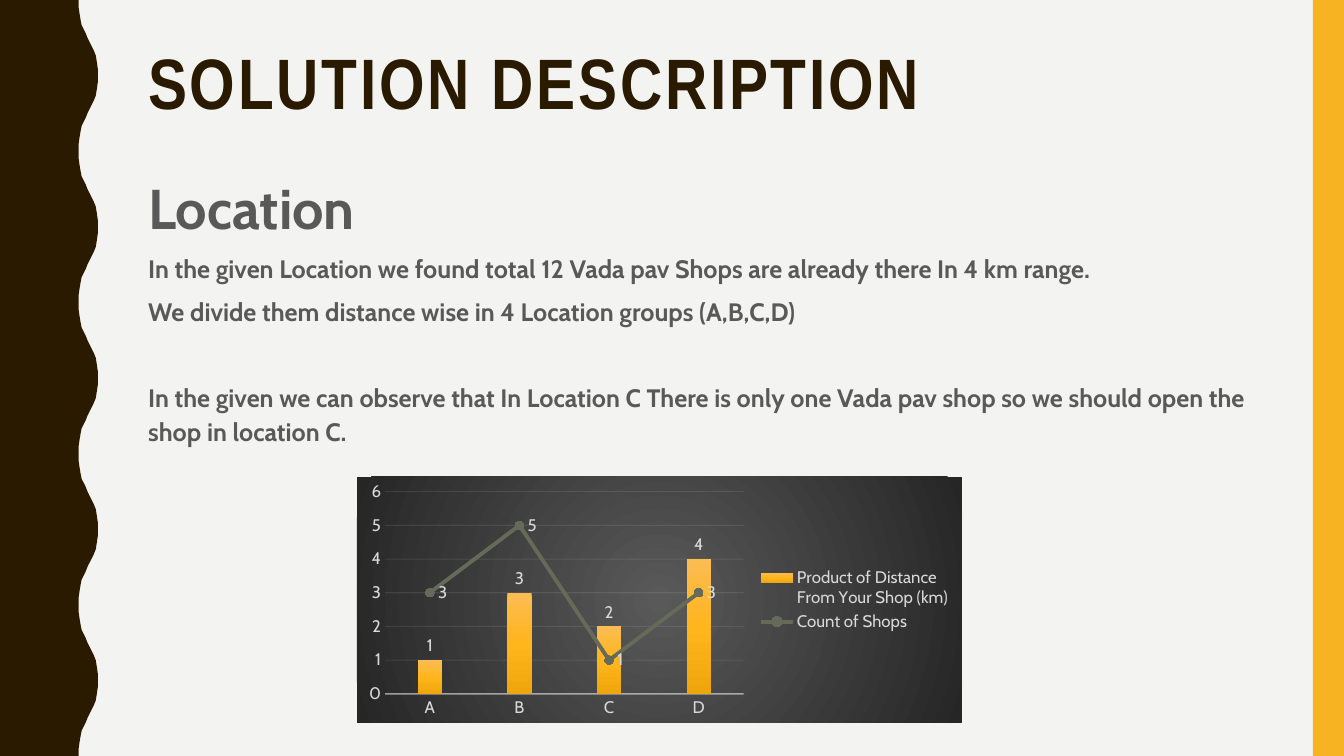
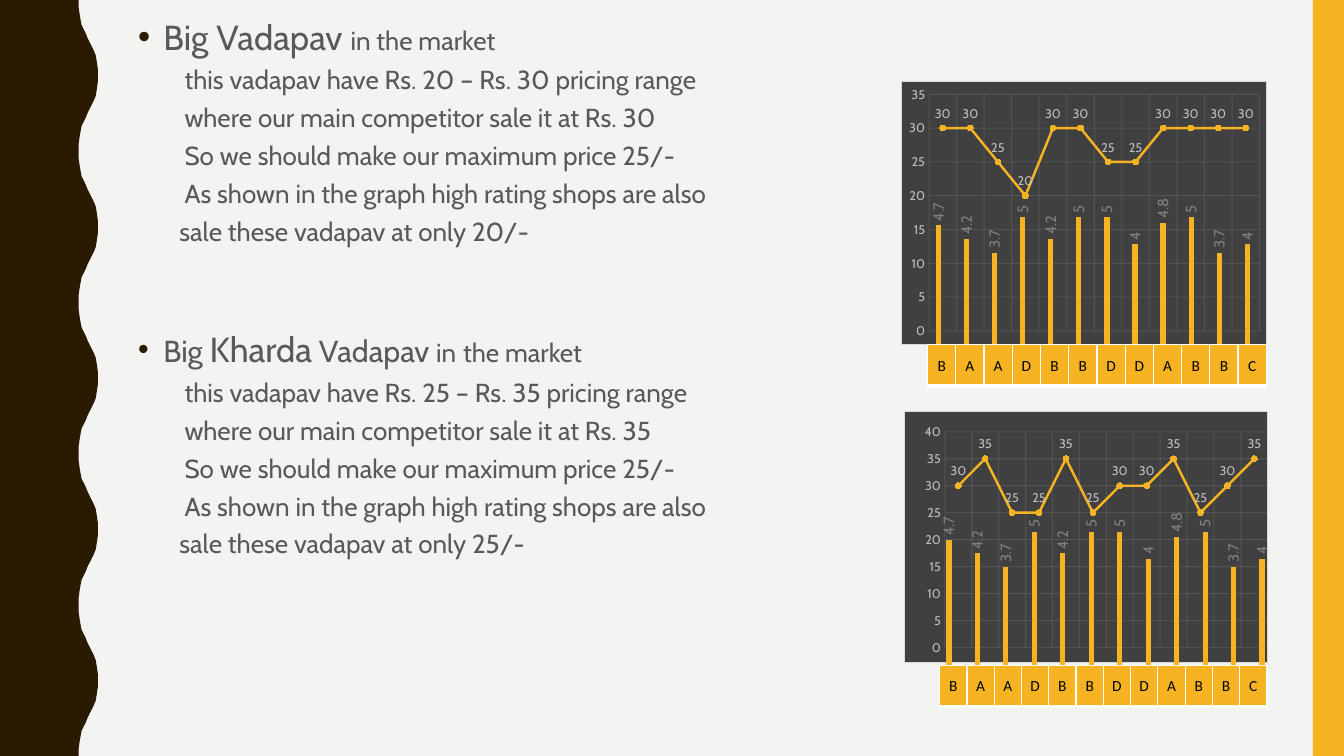
from copy import deepcopy

from pptx import Presentation, oxml
from pptx import util as u
from pptx.chart import data as cd
from pptx.dml.color import RGBColor as RGB
from pptx.enum import chart as ce, shapes, text
from pptx.oxml import ns


class Theme:
    page = RGB.from_string("F3F3F2")
    dark = RGB.from_string("2A1A00")
    gold = RGB.from_string("F8B323")
    gray = RGB.from_string("595959")
    olive = RGB.from_string("656A59")
    pale = RGB.from_string("D9D9D9")
    mist = RGB.from_string("BFBFBF")
    dim = RGB.from_string("808080")
    snow = RGB.from_string("F2F2F2")
    black = RGB.from_string("000000")
    head, body, cell = "Arial Narrow", "Cabin", "Calibri"
    title, big, lead = 51, 40, 18
    large, mid, small = 24.8, 21.7, 18.6
    key, tick, rate, grid = 12, 9, 10.6, 11


NS = ns.nsdecls("a", "c")
SOLID = '<a:solidFill><a:srgbClr val="%s"/></a:solidFill>'
STOP = '<a:gs pos="%d"><a:srgbClr val="%s"/></a:gs>'
GRAD = f'<a:gradFill {NS} rotWithShape="1"><a:gsLst>%s</a:gsLst>%s</a:gradFill>'
ROUND = ('<a:path path="circle"><a:fillToRect l="50000" t="50000" '
         'r="50000" b="50000"/></a:path>')
GLOW = GRAD % (STOP % (0, "595959") + STOP % (100000, "262626"), ROUND) + "<a:ln><a:noFill/></a:ln>"
PANEL = SOLID % "404040" + '<a:ln w="9525">' + SOLID % "D9D9D9" + "</a:ln>"
CLEAR = "<a:noFill/><a:ln><a:noFill/></a:ln>"


def say(frame, runs, gap=7, lead=1.1, left=0, dot=False, bold=None):
    para = frame.add_paragraph() if frame.text else frame.paragraphs[0]
    para.line_spacing, para.space_before = lead, u.Pt(gap)
    props = para._p.get_or_add_pPr()
    props.set("marL", str(u.Inches(left)))
    props.set("indent", str(u.Inches(-left if dot else 0)))
    bullet = f'<a:buClr {NS}><a:srgbClr val="{Theme.dark}"/></a:buClr>'
    props.append(oxml.parse_xml(bullet if dot else f"<a:buNone {NS}/>"))
    para.font.name, para.font.bold = Theme.body, bold
    para.font.color.rgb = Theme.gray
    for words, size in runs:
        run = para.add_run()
        run.text, run.font.size = words, u.Pt(size)


def draw(slide, kind, box, cats, rows, back, size, tone, top, step):
    data = cd.CategoryChartData()
    data.categories = cats
    for name, vals in rows:
        data.add_series(name, vals)
    chart = slide.shapes.add_chart(kind, *map(u.Inches, box), data).chart
    chart.has_title = chart.has_legend = False
    chart.font.name, chart.font.size = Theme.body, u.Pt(size)
    chart.font.color.rgb = tone
    chart.element.find(ns.qn("c:chart")).addnext(
        oxml.parse_xml(f"<c:spPr {NS}>{back}</c:spPr>"))
    chart.plots[0].vary_by_categories = False
    axis = chart.value_axis
    axis.minimum_scale, axis.maximum_scale, axis.major_unit = 0, top, step
    axis.format.line.fill.background()
    chart.category_axis.has_major_gridlines = kind == ce.XL_CHART_TYPE.LINE_MARKERS
    for side in (axis, chart.category_axis):
        side.major_tick_mark = side.minor_tick_mark = ce.XL_TICK_MARK.NONE
        side.tick_labels.font.name = Theme.body
        side.tick_labels.font.size = u.Pt(size)
        side.tick_labels.font.color.rgb = tone
        if side.has_major_gridlines:
            rule = side.major_gridlines.format
            rule.line.width, rule.line.color.rgb = u.Pt(0.75), Theme.snow
            rule.element.xpath(".//a:srgbClr")[0].append(
                oxml.parse_xml(f'<a:alpha {NS} val="10000"/>'))
    for item in chart.series:
        tags = item.data_labels
        tags.show_value = True
        tags.font.name, tags.font.size = Theme.body, u.Pt(size)
        tags.font.color.rgb = tone
    return chart


deck = Presentation()
deck.slide_width, deck.slide_height = u.Inches(13.33), u.Inches(7.5)
first, second = [deck.slides.add_slide(deck.slide_layouts[1]) for _ in range(2)]

master = deck.slide_master
master.background.fill.solid()
master.background.fill.fore_color.rgb = Theme.page
half = [(0.78, 0), (0.78, 0.07), (0.79, 0.14), (0.8, 0.2), (0.81, 0.25),
        (0.83, 0.29), (0.85, 0.33), (0.87, 0.38), (0.89, 0.42), (0.91, 0.46),
        (0.93, 0.5), (0.95, 0.55), (0.96, 0.61), (0.97, 0.68)]
crest = half + [(0.97, 0.75)] + [(x, 1.5 - y) for x, y in reversed(half)]
edge = [(x, y + 1.5 * turn) for turn in range(5) for x, y in crest] + [(0, 7.5)]
pen = first.shapes.build_freeform(0, 0)
pen.add_line_segments([(u.Inches(x), u.Inches(y)) for x, y in edge], close=True)
wave = pen.convert_to_shape()
band = first.shapes.add_shape(shapes.MSO_SHAPE.RECTANGLE, u.Inches(13.02), 0,
                              u.Inches(0.31), u.Inches(7.5))
for spot, (shape, tone) in enumerate([(wave, Theme.dark), (band, Theme.gold)]):
    shape.shadow.inherit = False
    shape.fill.solid()
    shape.fill.fore_color.rgb = tone
    shape.line.fill.background()
    shape.element.xpath(".//p:cNvPr")[0].set("id", str(20 + spot))
    master.shapes.element.insert(2 + spot, shape.element)

second.shapes.title.element.getparent().remove(second.shapes.title.element)
for holder, box in [(first.shapes.title, (1.37, 0.42, 11.13, 1.63)),
                    (first.placeholders[1], (1.37, 1.6, 11.13, 3.93)),
                    (second.placeholders[1], (1.27, 0.15, 11.13, 7.21))]:
    holder.left, holder.top, holder.width, holder.height = map(u.Inches, box)
    holder.text_frame.auto_size = text.MSO_AUTO_SIZE.NONE
    holder.text_frame.vertical_anchor = text.MSO_ANCHOR.TOP

title = first.shapes.title
title.text_frame.text = "SOLUTION DESCRIPTION"
para = title.text_frame.paragraphs[0]
para.alignment, para.line_spacing = text.PP_ALIGN.LEFT, 0.9
para.font.name, para.font.size, para.font.bold = Theme.head, u.Pt(Theme.title), True
para.font.color.rgb = Theme.dark
title.element.xpath(".//a:defRPr")[0].set("spc", "200")

frame = first.placeholders[1].text_frame
for words, size, gap in [
    ("Location", Theme.big, 7),
    ("In the given Location we found total 12 Vada pav Shops are already there In 4 km range.", Theme.lead, 7),
    ("We divide them distance wise in 4 Location groups (A,B,C,D)", Theme.lead, 7),
    ("In the given we can observe that In Location C There is only one Vada pav shop so we should open the shop in location C.", Theme.lead, 38),
]:
    say(frame, [(words, size)], gap, bold=True)

combo = draw(first, ce.XL_CHART_TYPE.COLUMN_CLUSTERED, (3.54, 4.73, 6, 2.44), "ABCD",
             [("Product of Distance From Your Shop (km)", (1, 3, 2, 4)),
              ("Count of Shops", (3, 5, 1, 3))],
             GLOW, Theme.key, Theme.pale, 6, 1)
bars = combo.plots[0]
bars.gap_width, bars.overlap = 269, -27
node = bars.series[0].format
node.fill.solid()
flat = node.element.xpath("./c:spPr/a:solidFill")[0]
shine = STOP % (0, "FBBC54") + STOP % (50000, "FFB51C") + STOP % (100000, "EFA60C")
flat.getparent().replace(flat, oxml.parse_xml(GRAD % (shine, '<a:lin ang="5400000" scaled="0"/>')))
bars.series[0].data_labels.position = ce.XL_LABEL_POSITION.OUTSIDE_END

group = combo.element.xpath(".//c:barChart")[0]
trend = oxml.parse_xml(f'<c:lineChart {NS}><c:grouping val="standard"/>'
                       '<c:varyColors val="0"/></c:lineChart>')
count = group.xpath("./c:ser")[1]
for flag in count.xpath("./c:invertIfNegative"):
    count.remove(flag)
trend.append(count)
trend.append(oxml.parse_xml(f'<c:marker {NS} val="1"/>'))
for axis in group.xpath("./c:axId"):
    trend.append(deepcopy(axis))
group.addnext(trend)
line = combo.plots[1].series[0]
line.data_labels.position = ce.XL_LABEL_POSITION.RIGHT

combo.category_axis.format.line.color.rgb = Theme.snow
combo.category_axis.format.line.width = u.Pt(1)
combo.category_axis.format.element.xpath("./c:spPr//a:srgbClr")[0].append(
    oxml.parse_xml(f'<a:alpha {NS} val="54000"/>'))
combo.has_legend = True
combo.legend.position = ce.XL_LEGEND_POSITION.RIGHT
combo.legend.include_in_layout = False
combo.legend.font.name, combo.legend.font.size = Theme.body, u.Pt(Theme.key)
combo.legend.font.color.rgb = Theme.pale
lines = [(line, Theme.olive, 2.75, 6)]

frame = second.placeholders[1].text_frame
large, mid, small = Theme.large, Theme.mid, Theme.small
for gap, heads, low, high, sale in [
    (7, [("Big Vadapav ", large), ("in the market", small)], 20, 30, 20),
    (61, [("Big ", mid), ("Kharda", large), (" Vadapav ", mid), ("in", small),
          (" ", mid), ("the market", small)], 25, 35, 25),
]:
    say(frame, heads, gap, 0.9, 0.25, True)
    for words, left in [
        (f"this vadapav have Rs. {low} – Rs. {high} pricing range", 0.46),
        (f"where our main competitor sale it at Rs. {high}", 0.46),
        ("So we should make our maximum price 25/-", 0.46),
        ("As shown in the graph high rating shops are also", 0.46),
        (f"sale these vadapav at only {sale}/-", 0.41),
    ]:
        say(frame, [(words, small)], 7, 0.9, left)

shops = [str(n) for n in range(1, 13)]
for box, top, vals in [
    ((8.94, 0.8, 3.63, 2.62), 35, (30, 30, 25, 20, 30, 30, 25, 25, 30, 30, 30, 30)),
    ((8.97, 4.08, 3.61, 2.5), 40, (30, 35, 25, 25, 35, 25, 30, 30, 35, 25, 30, 35)),
]:
    price = draw(second, ce.XL_CHART_TYPE.LINE_MARKERS, box, shops, [("Series 1", vals)],
                 PANEL, Theme.tick, Theme.mist, top, 5)
    price.category_axis.visible = False
    line = price.plots[0].series[0]
    line.data_labels.position = ce.XL_LABEL_POSITION.ABOVE
    lines.append((line, Theme.gold, 1.75, 4))

area = price.element.xpath(".//c:plotArea")[0]
for old in area.xpath("./c:layout"):
    area.remove(old)
frac = "".join(f'<c:{k} val="{v}"/>' for k, v in [
    ("layoutTarget", "inner"), ("xMode", "edge"), ("yMode", "edge"),
    ("x", 0.11), ("y", 0.08), ("w", 0.89), ("h", 0.86)])
area.insert(0, oxml.parse_xml(
    f"<c:layout {NS}><c:manualLayout>{frac}</c:manualLayout></c:layout>"))

for line, tone, width, size in lines:
    line.smooth = False
    line.format.line.color.rgb, line.format.line.width = tone, u.Pt(width)
    line.marker.style, line.marker.size = ce.XL_MARKER_STYLE.CIRCLE, size
    line.marker.format.fill.solid()
    line.marker.format.fill.fore_color.rgb = tone
    line.marker.format.line.color.rgb = tone

stars = (4.7, 4.2, 3.7, 5, 4.2, 5, 5, 4, 4.8, 5, 3.7, 4)
for box in [(9.2, 4.97, 3.53, 1.69), (9.1, 1.85, 3.48, 1.69)]:
    rate = draw(second, ce.XL_CHART_TYPE.COLUMN_CLUSTERED, box, shops, [("Series 1", stars)],
                CLEAR, Theme.rate, Theme.dim, 6, 1)
    rate.value_axis.has_major_gridlines = False
    rate.value_axis.visible = rate.category_axis.visible = False
    bars = rate.plots[0]
    bars.gap_width, bars.overlap = 444, -90
    bars.series[0].format.fill.solid()
    bars.series[0].format.fill.fore_color.rgb = Theme.gold
    bars.series[0].data_labels.position = ce.XL_LABEL_POSITION.OUTSIDE_END
    for turn in rate.element.xpath(".//c:dLbls//a:bodyPr"):
        turn.set("rot", "-5400000")
        turn.set("vert", "horz")

for left, top, width in [(9.32, 6.6, 3.25), (9.2, 3.42, 3.36)]:
    table = second.shapes.add_table(1, 12, u.Inches(left), u.Inches(top),
                                    u.Inches(width), u.Inches(0.41)).table
    for cell, name in zip(table.iter_cells(), "BAADBBDDABBC"):
        cell.text = name
        cell.fill.solid()
        cell.fill.fore_color.rgb = Theme.gold
        cell.vertical_anchor = text.MSO_ANCHOR.MIDDLE
        cell.margin_left = cell.margin_right = cell.margin_top = u.Inches(0.01)
        cell.margin_bottom = 0
        para = cell.text_frame.paragraphs[0]
        para.alignment = text.PP_ALIGN.CENTER
        para.font.name, para.font.size = Theme.cell, u.Pt(Theme.grid)
        para.font.bold, para.font.color.rgb = False, Theme.black
        props = cell._tc.get_or_add_tcPr()
        for spot, (side, wide) in enumerate([("L", 1), ("R", 1), ("T", 1), ("B", 3)]):
            props.insert(spot, oxml.parse_xml(
                f'<a:ln{side} {NS} w="{u.Pt(wide)}">{SOLID % "FFFFFF"}</a:ln{side}>'))

deck.save("out.pptx")
